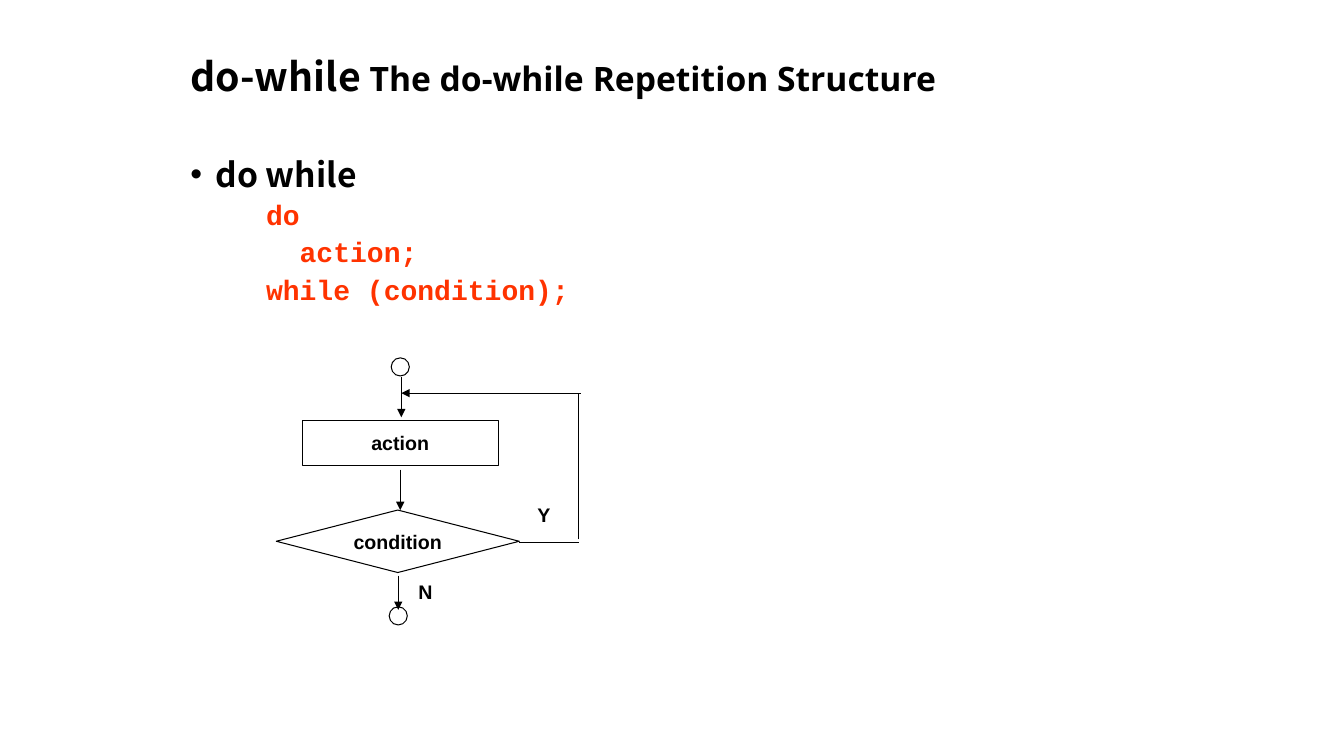
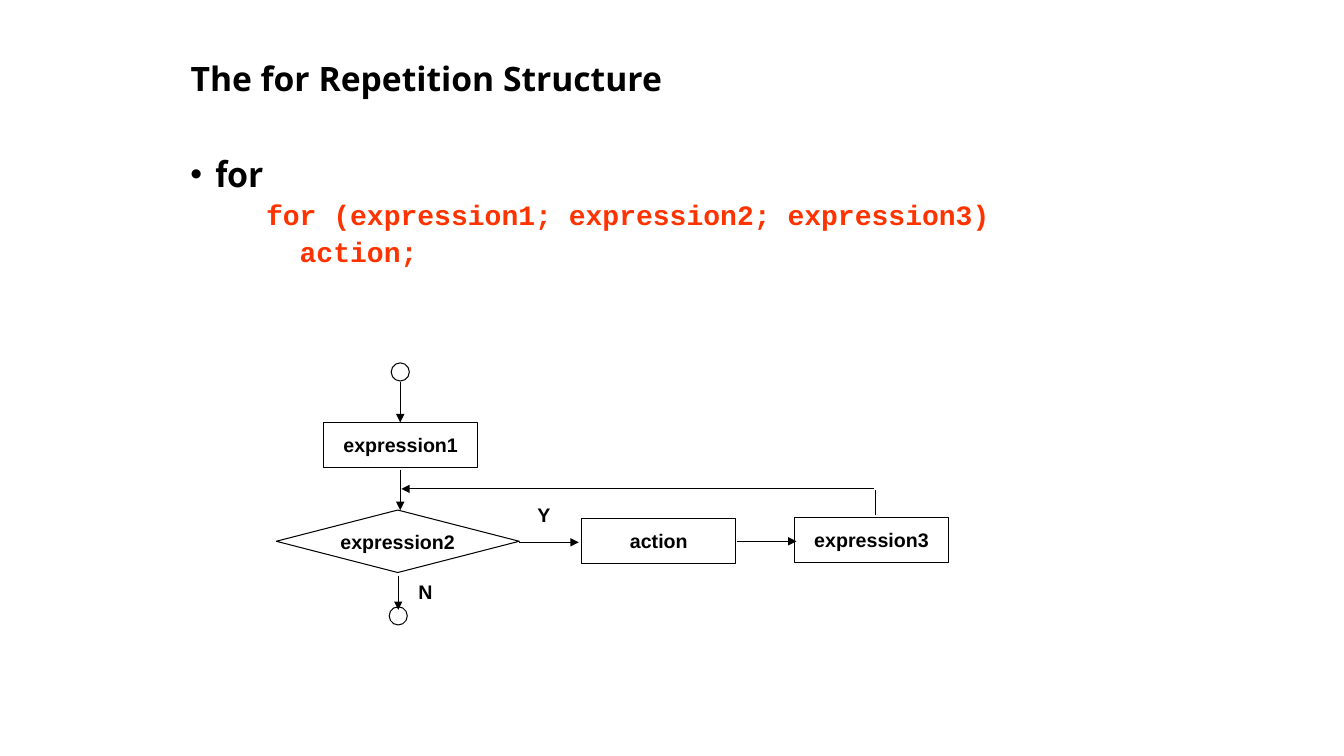
from lxml.etree import SubElement
from pptx import Presentation
from pptx.dml.color import RGBColor
from pptx.enum.shapes import MSO_CONNECTOR, MSO_SHAPE
from pptx.enum.text import MSO_ANCHOR, MSO_AUTO_SIZE, PP_ALIGN
from pptx.oxml.ns import qn
from pptx.util import Emu, Inches, Pt

COLORS = {"ink": "000000", "code": "FF3300", "paper": "FFFFFF"}
CELL = Inches(0.1)  # the grid: every place and size below is in cells
TITLE_BOX = (17.9, 5.2, 97.5, 9.5)
SYNTAX_BOX = (17.9, 15.2, 97.5, 54.9)
FLOW_BOX = (27.4, 35.5, 66.7, 26.5)
LINE_WIDTH = Pt(0.75)
STEP_HEIGHT = 4.5
DOT = 1.8
ENTRY_X = 12.3  # the vertical path down to the decision
HEADING = ("Open Sans", 24)
SPACE = (" ", "Calibri", 28)


def color(key):
    """Return a named colour."""
    return RGBColor.from_string(COLORS[key])


def cells(*lengths):
    """Turn grid lengths into slide lengths."""
    return [Emu(round(length * CELL)) for length in lengths]


def inside(box, x, y):
    """Move a point from a box to the slide grid."""
    return box[0] + x, box[1] + y


def add_run(paragraph, text, font, size, ink="ink"):
    """Add one bold run."""
    run = paragraph.add_run()
    run.text = text
    run.font.name, run.font.size, run.font.bold = font, Pt(size), True
    run.font.color.rgb = color(ink)


def add_title(slide, box, runs):
    """Place the title and fill it run by run."""
    title = slide.shapes.title
    title.left, title.top, title.width, title.height = cells(*box)
    title.fill.solid()
    title.fill.fore_color.rgb = color("paper")
    frame = title.text_frame
    frame.word_wrap = True
    frame.auto_size = MSO_AUTO_SIZE.NONE
    frame.vertical_anchor = MSO_ANCHOR.TOP
    line = frame.paragraphs[0]
    line.alignment, line.line_spacing = PP_ALIGN.LEFT, 0.9
    for run in runs:
        add_run(line, *run)


def add_syntax(slide, box, keyword, code):
    """Add the bulleted keyword and its code, given as (indent, text) lines."""
    area = slide.shapes.add_textbox(*cells(*box))
    area.fill.solid()
    area.fill.fore_color.rgb = color("paper")
    frame = area.text_frame
    frame.word_wrap = True

    heading = frame.paragraphs[0]
    heading.line_spacing, heading.space_before = 0.9, Pt(10)
    properties = heading._p.get_or_add_pPr()
    properties.set("marL", str(Inches(0.25)))
    properties.set("indent", str(-Inches(0.25)))
    SubElement(properties, qn("a:buFont")).set("typeface", "Arial")
    SubElement(properties, qn("a:buChar")).set("char", "•")
    add_run(heading, keyword, "Noto Sans CJK SC", 24)

    for indent, text in code:
        line = frame.add_paragraph()
        line.level, line.line_spacing, line.space_before = 1, 0.9, Pt(5)
        margin = Inches(0.75) + indent * Pt(12)  # one code character is 12 pt
        line._p.get_or_add_pPr().set("marL", str(margin))
        line._p.get_or_add_pPr().set("indent", "0")
        add_run(line, text, "Courier New", 20, "code")


def add_node(slide, box, kind, x, y, width, height, text=""):
    """Add an outlined flowchart node with an optional centred word."""
    node = slide.shapes.add_shape(kind, *cells(*inside(box, x, y), width, height))
    node.shadow.inherit = False
    node.fill.background()
    node.line.color.rgb = color("ink")
    node.line.width = LINE_WIDTH
    if text:
        frame = node.text_frame
        frame.word_wrap = False
        frame.vertical_anchor = MSO_ANCHOR.MIDDLE
        frame.paragraphs[0].alignment = PP_ALIGN.CENTER
        add_run(frame.paragraphs[0], text, "Arial", 14)


def add_step(slide, box, x, y, width, text):
    """Add a rectangular process step."""
    add_node(slide, box, MSO_SHAPE.RECTANGLE, x, y, width, STEP_HEIGHT, text)


def add_path(slide, box, start, end, arrow=True):
    """Join two points of the flowchart, with an arrowhead at the end."""
    path = slide.shapes.add_connector(
        MSO_CONNECTOR.STRAIGHT, *cells(*inside(box, *start), *inside(box, *end)))
    path.line.color.rgb = color("ink")
    path.line.width = LINE_WIDTH
    if arrow:
        SubElement(path.line._get_or_add_ln(), qn("a:tailEnd")).set("type", "triangle")
    SubElement(path._element.spPr, qn("a:effectLst"))


def add_answer(slide, box, x, y, width, text, alignment):
    """Label a branch of the decision."""
    answer = slide.shapes.add_textbox(*cells(*inside(box, x, y), width, 3.3))
    answer.text_frame.word_wrap = True
    line = answer.text_frame.paragraphs[0]
    line.alignment = alignment
    add_run(line, text, "Arial", 14)


def add_decision(slide, box, condition, yes_arrow):
    """Add the decision with its entry, both branches and the exit."""
    add_node(slide, box, MSO_SHAPE.FLOWCHART_DECISION, 0, 15.1, 24.1, 6.2, condition)
    add_node(slide, box, MSO_SHAPE.OVAL, 11.2, 24.7, DOT, DOT)
    add_path(slide, box, (ENTRY_X, 11.1), (ENTRY_X, 15.1))
    add_path(slide, box, (24.1, 18.3), (30, 18.3), yes_arrow)
    add_path(slide, box, (12.1, 21.6), (12.1, 25))
    add_answer(slide, box, 24.3, 13.9, 4.5, "Y", PP_ALIGN.CENTER)
    add_answer(slide, box, 13.1, 21.5, 4.8, "N", PP_ALIGN.LEFT)


def add_start(slide, box, x, y):
    """Add the start dot and the arrow below it."""
    add_node(slide, box, MSO_SHAPE.OVAL, 11.4, y, DOT, DOT)
    add_path(slide, box, (x, y + 1.9), (x, y + 5.9))


def add_do_while_flow(slide, box):
    """Draw the loop that acts before it tests."""
    add_start(slide, box, 12.4, 0)
    add_step(slide, box, 2.6, 6.2, 19.4, "action")
    add_decision(slide, box, "condition", yes_arrow=False)
    add_path(slide, box, (30, 18), (30, 3.6), arrow=False)
    add_path(slide, box, (30.2, 3.5), (12.4, 3.5))


def add_for_flow(slide, box):
    """Draw the loop that tests before it acts and steps."""
    add_start(slide, box, ENTRY_X, 0.5)
    for x, y, text in ((4.7, 6.4, "expression1"), (30.3, 15.9, "action"),
                       (51.4, 15.8, "expression3")):
        add_step(slide, box, x, y, 15.3, text)
    add_decision(slide, box, "expression2", yes_arrow=True)
    add_path(slide, box, (45.7, 18.2), (51.6, 18.2))
    add_path(slide, box, (59.4, 15.6), (59.4, 13.1), arrow=False)
    add_path(slide, box, (59.3, 13), (12.4, 13))


def add_loop_slide(deck, title, keyword, code, add_flow):
    """Build one slide on a loop: title, syntax and flowchart."""
    slide = deck.slides.add_slide(deck.slide_layouts[5])
    add_title(slide, TITLE_BOX, [*title, SPACE, ("Repetition Structure", *HEADING)])
    add_syntax(slide, SYNTAX_BOX, keyword, code)
    add_flow(slide, FLOW_BOX)


deck = Presentation()
deck.slide_width, deck.slide_height = Inches(13.33), Inches(7.5)
add_loop_slide(
    deck,
    [("do-while ", "Noto Sans CJK JP", 28), ("The do-while", *HEADING)],
    "do while",
    [(0, "do"), (2, "action;"), (0, "while (condition);")],
    add_do_while_flow)
add_loop_slide(
    deck,
    [("The for", *HEADING)],
    "for",
    [(0, "for (expression1; expression2; expression3)"), (2, "action;")],
    add_for_flow)
deck.save("out.pptx")
